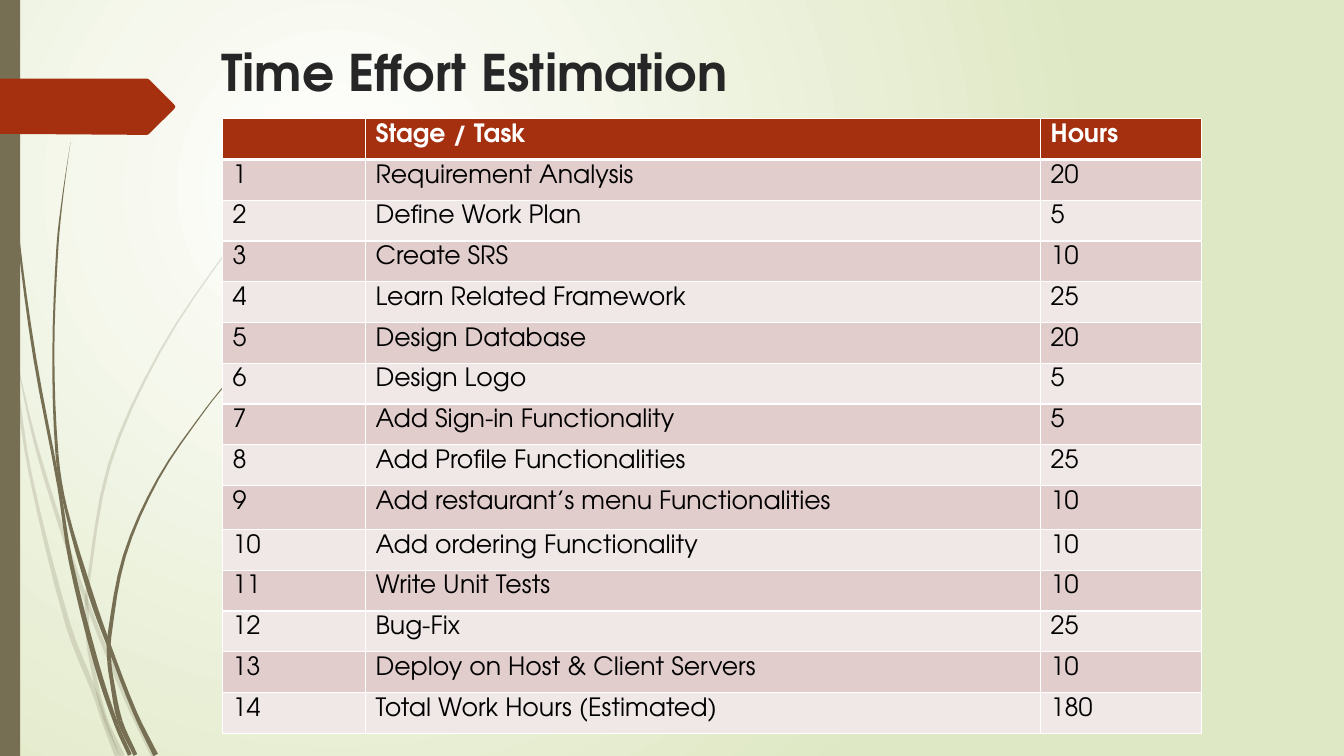
import itertools
import math

import lxml.etree
import pptx
import pptx.dml.color
import pptx.enum.shapes
import pptx.enum.text
import pptx.oxml.ns
import pptx.util

Cm, Pt, qn = pptx.util.Cm, pptx.util.Pt, pptx.oxml.ns.qn

FONT = "TeX Gyre Adventor"
OLIVE, RUST, WHITE = "766F54", "A53010", "FFFFFF"
BAND_FILLS = ["E1CDCC", "F0E8E7"]

TASKS = [
    ("Requirement Analysis", 20),
    ("Define Work Plan", 5),
    ("Create SRS", 10),
    ("Learn Related Framework", 25),
    ("Design Database", 20),
    ("Design Logo", 5),
    ("Add Sign-in Functionality", 5),
    ("Add Profile Functionalities", 25),
    ("Add restaurant’s menu Functionalities", 10),
    ("Add ordering Functionality", 10),
    ("Write Unit Tests", 10),
    ("Bug-Fix", 25),
    ("Deploy on Host & Client Servers", 10),
    ("Total Work Hours (Estimated)", 180),
]

# Grass blades: knots (x, y, thickness) on a 312 x 750 grid,
# and the knots at which a blade is jointed
BLADE_GRID = (312, 750)
STEPS = 4
PALE_BLADES = [
    ([(0, 290, 2), (5, 320, 3), (11, 350, 3), (15.5, 376, 3), (30, 470, 3),
      (67.5, 620, 5), (95, 690, 5), (103, 714, 5), (116.5, 750, 5)], [2, 7]),
    ([(14, 345, 0), (34, 435, 3), (60, 521, 4), (86.5, 598, 4),
      (125, 693, 4), (152.5, 750, 5)], [3]),
    ([(312, 153, 0.5), (268, 197.5, 1), (228.5, 244.5, 1), (159, 348.5, 2),
      (108.5, 461.5, 3), (86.5, 586, 3), (86, 605, 4), (89, 646, 4),
      (104, 711, 4), (121.5, 750, 5)], [5, 6, 8]),
]
DARK_BLADES = [
    ([(3.5, 0, 1), (7.5, 110, 1), (18, 233, 2), (34.5, 355, 3),
      (58, 480, 3), (70, 556, 4), (95.5, 658, 5), (116, 720, 4),
      (129, 749, 4)], [4, 7]),
    ([(70, 141, 0), (62.5, 193, 1), (57, 245, 2), (53, 349, 2),
      (56.5, 450, 3), (65.5, 505, 3), (90.5, 591, 5), (108, 640, 4),
      (134, 707, 4), (154.5, 749, 5)], [4, 5, 7]),
    ([(260.5, 344, 0.5), (231, 373.5, 1), (204.5, 405.5, 1), (157, 475, 2),
      (123.5, 551.5, 3), (108.5, 632, 4), (108.5, 656, 4), (111, 675, 4),
      (119, 715, 5), (134.5, 749, 4)], [5, 6, 8]),
]


def color(hex_code):
    return pptx.dml.color.RGBColor.from_string(hex_code)


def paint(shape, fill, alpha=None):
    shape.shadow.inherit = False
    shape.line.fill.background()
    shape.fill.solid()
    shape.fill.fore_color.rgb = color(fill)
    if alpha is not None:
        srgb = shape.fill._xPr.find(".//" + qn("a:srgbClr"))
        lxml.etree.SubElement(srgb, qn("a:alpha"), val=str(alpha * 1000))


def add_run(paragraph, text, size, fill, bold=False):
    run = paragraph.add_run()
    run.text = text
    run.font.name, run.font.size, run.font.bold = FONT, Pt(size), bold
    run.font.color.rgb = color(fill)


def add_outline(slide, box, grid, points):
    """Closed outline whose grid coordinates are scaled to the box."""
    left, top, width, height = box
    placed = [(round(left + x * width / grid[0]), round(top + y * height / grid[1]))
              for x, y in points]
    builder = slide.shapes.build_freeform(*placed[0])
    builder.add_line_segments(placed[1:], close=True)
    return builder.convert_to_shape()


def neighbours(points, i):
    return points[max(i - 1, 0)], points[min(i + 1, len(points) - 1)]


def smooth(knots):
    """Hermite curve through the knots, thickness included."""
    lengths = [math.dist(a[:2], b[:2]) for a, b in zip(knots, knots[1:])]
    slopes = []
    for i in range(len(knots)):
        before, after = neighbours(knots, i)
        span = sum(lengths[max(i - 1, 0):i + 1])
        slopes.append([(b - a) / span for a, b in zip(before, after)])
    curve = []
    for i, length in enumerate(lengths):
        for t in (step / STEPS for step in range(STEPS)):
            ease = t * t * (3 - 2 * t)
            leave, arrive = t * (1 - t) ** 2 * length, t * t * (t - 1) * length
            curve.append(tuple(
                a + (b - a) * ease + m * leave + n * arrive
                for a, b, m, n in zip(knots[i], knots[i + 1], slopes[i], slopes[i + 1])))
    return curve + [knots[-1]]


def blade_pieces(knots, joints):
    curve = smooth(knots)
    one_side, other_side = [], []
    for i, (x, y, thickness) in enumerate(curve):
        before, after = neighbours(curve, i)
        dx, dy = after[0] - before[0], after[1] - before[1]
        reach = thickness / 2 / math.hypot(dx, dy)
        one_side.append((x - dy * reach, y + dx * reach))
        other_side.append((x + dy * reach, y - dx * reach))
    ends = [0, *joints, len(knots) - 1]
    for first, last in zip(ends, ends[1:]):
        part = slice(first * STEPS, last * STEPS + 1)
        yield one_side[part] + other_side[part][::-1]


def draw_background(slide):
    fill = slide.background.fill
    fill.gradient()
    for stop, shade in zip(fill.gradient_stops, [WHITE, "DFE8C4"]):
        stop.color.rgb = color(shade)
    # Circular glow centred in the upper left
    linear = slide.background._cSld.find(".//" + qn("a:lin"))
    glow = lxml.etree.Element(qn("a:path"), {"path": "circle"})
    lxml.etree.SubElement(glow, qn("a:fillToRect"),
                          l="50000", t="50000", r="100000", b="100000")
    linear.getparent().replace(linear, glow)


def draw_blades(slide, box):
    for blades, alpha in [(PALE_BLADES, 20), (DARK_BLADES, None)]:
        for knots, joints in blades:
            for piece in blade_pieces(knots, joints):
                paint(add_outline(slide, box, BLADE_GRID, piece), OLIVE, alpha)


def draw_side_bar(slide, box):
    paint(slide.shapes.add_shape(pptx.enum.shapes.MSO_SHAPE.RECTANGLE, *box), OLIVE)


def draw_pointer(slide, box):
    corners = [(0, 0), (146, 0), (148, 1), (173, 26), (174, 28),
               (173, 30), (148, 55), (146, 56), (0, 55)]
    paint(add_outline(slide, box, (174, 56), corners), RUST)


def draw_title(slide, box):
    frame = slide.shapes.add_textbox(*box).text_frame
    frame.word_wrap = True
    frame.vertical_anchor = pptx.enum.text.MSO_ANCHOR.TOP
    heading = frame.paragraphs[0]
    add_run(heading, " ", 36, "262626")
    add_run(heading, "Time Effort Estimation", 36, "262626", bold=True)


def set_borders(cell, top=1, bottom=1):
    properties = cell._tc.get_or_add_tcPr()
    sides = [("L", 1), ("R", 1), ("T", top), ("B", bottom)]
    for position, (side, width) in enumerate(sides):
        line = lxml.etree.Element(qn("a:ln" + side), w=str(Pt(width)))
        solid = lxml.etree.SubElement(line, qn("a:solidFill"))
        lxml.etree.SubElement(solid, qn("a:srgbClr"), val=WHITE)
        properties.insert(position, line)


def draw_estimates(slide, box):
    rows = [("", "Stage / Task", "Hours")]
    rows += [(number, task, hours) for number, (task, hours) in enumerate(TASKS, 1)]
    table = slide.shapes.add_table(len(rows), 3, *box).table
    for column, share in zip(table.columns, [0.146, 0.69, 0.164]):
        column.width = round(box[2] * share)
    # Row 9 is slightly taller; the others share the rest evenly
    tall = Cm(1.11)
    for number, row in enumerate(table.rows):
        row.height = tall if number == 9 else round((box[3] - tall) / (len(rows) - 1))

    for r, c in itertools.product(range(len(rows)), range(3)):
        cell, header = table.cell(r, c), r == 0
        cell.fill.solid()
        cell.fill.fore_color.rgb = color(RUST if header else BAND_FILLS[(r - 1) % 2])
        set_borders(cell, top=3 if r == 1 else 1, bottom=3 if header else 1)
        if rows[r][c] != "":
            add_run(cell.text_frame.paragraphs[0], str(rows[r][c]), 18,
                    WHITE if header else "000000", bold=header)


presentation = pptx.Presentation()
presentation.slide_width, presentation.slide_height = Cm(33.87), Cm(19.05)
estimation = presentation.slides.add_slide(presentation.slide_layouts[6])

draw_background(estimation)
draw_blades(estimation, (0, 0, Cm(7.92), Cm(19.05)))
draw_side_bar(estimation, (0, 0, Cm(0.51), Cm(19.05)))
draw_pointer(estimation, (0, Cm(1.98), Cm(4.42), Cm(1.42)))
draw_title(estimation, (Cm(4.98), Cm(0.9), Cm(26.97), Cm(4.39)))
draw_estimates(estimation, (Cm(5.61), Cm(2.99), Cm(24.66), Cm(15.5)))

presentation.save("out.pptx")
